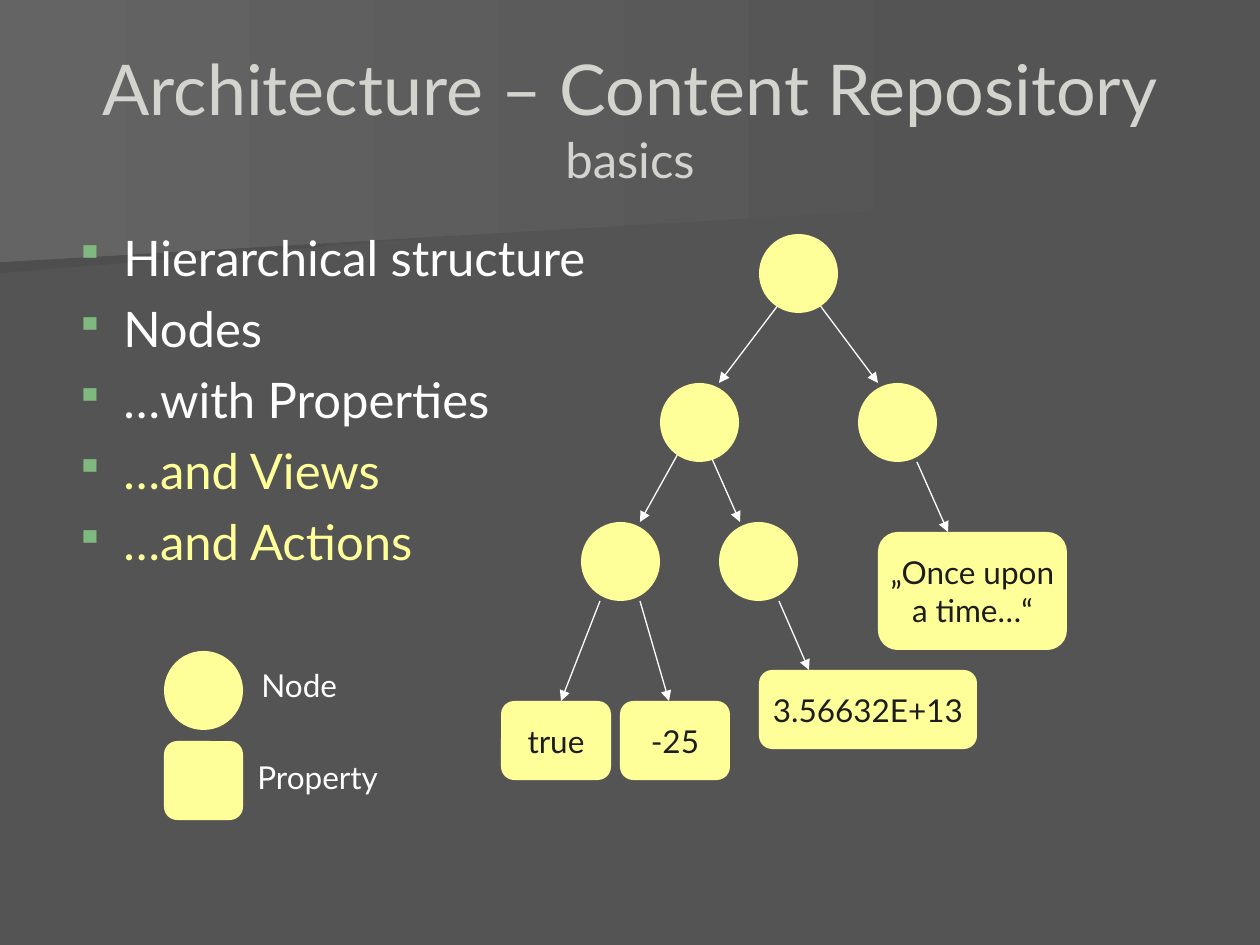
from lxml import etree
from pptx import Presentation
from pptx.dml.color import RGBColor
from pptx.enum.shapes import MSO_CONNECTOR, MSO_SHAPE
from pptx.enum.text import MSO_ANCHOR, PP_ALIGN
from pptx.oxml.ns import qn
from pptx.util import Emu, Pt

CIRCLE, ROUNDED = MSO_SHAPE.OVAL, MSO_SHAPE.ROUNDED_RECTANGLE
STRAIGHT = MSO_CONNECTOR.STRAIGHT
LEFT, CENTER = PP_ALIGN.LEFT, PP_ALIGN.CENTER
TOP, MIDDLE = MSO_ANCHOR.TOP, MSO_ANCHOR.MIDDLE

EMU_PER_PX = 914400 / 126
FONT = "Lato"
NODE_SIZE = 79
COLORS = {
    "background": "545454", "shade": "4E4E4E", "glow": "646464",
    "title": "D4D4CE", "text": "FFFFFF", "accent": "FFFF99",
    "dark": "1D1D1D", "bullet": "7FB97F",
}


def px(length):
    return Emu(round(length * EMU_PER_PX))


def rgb(name):
    return RGBColor.from_string(COLORS[name])


class SlideBuilder:
    def __init__(self, slide):
        self.shapes = slide.shapes
        fill = slide.background.fill
        fill.solid()
        fill.fore_color.rgb = rgb("background")

    def band(self, points, left_color):
        """Outline fading from left_color into the background on the right."""
        builder = self.shapes.build_freeform(*points[0], scale=EMU_PER_PX)
        builder.add_line_segments(points[1:], close=True)
        shape = builder.convert_to_shape()
        shape.shadow.inherit = False
        shape.line.fill.background()
        shape.fill.gradient()
        shape.fill.gradient_angle = 180
        for stop, color in zip(shape.fill.gradient_stops, ("background", left_color)):
            stop.color.rgb = rgb(color)

    def style_run(self, run, size, color):
        run.font.name = FONT
        run.font.size = Pt(size)
        run.font.color.rgb = rgb(color)

    def fill_frame(self, frame, lines, size, color, align):
        frame.text = "\n".join(lines)
        for paragraph in frame.paragraphs:
            paragraph.alignment = align
            for run in paragraph.runs:
                self.style_run(run, size, color)

    def text(self, box, lines, size, color, align=LEFT, anchor=TOP, wrap=True):
        frame = self.shapes.add_textbox(*map(px, box)).text_frame
        frame.word_wrap = wrap
        frame.vertical_anchor = anchor
        self.fill_frame(frame, lines, size, color, align)
        return frame

    def bullets(self, box, items):
        """Bulleted list from (text, color) pairs."""
        frame = self.text(box, [item for item, _ in items], 28, "text")
        for index, (paragraph, (_, color)) in enumerate(zip(frame.paragraphs, items)):
            properties = paragraph._p.get_or_add_pPr()
            properties.set("marL", str(px(48)))
            properties.set("indent", str(-px(48)))
            bullet_color = etree.SubElement(properties, qn("a:buClr"))
            etree.SubElement(bullet_color, qn("a:srgbClr"), val=COLORS["bullet"])
            etree.SubElement(properties, qn("a:buSzPct"), val="80000")
            etree.SubElement(properties, qn("a:buChar"), char="▪")
            if index:
                paragraph.space_before = Pt(7)
            self.style_run(paragraph.runs[0], 28, color)

    def block(self, kind, box, lines=()):
        shape = self.shapes.add_shape(kind, *map(px, box))
        shape.shadow.inherit = False
        shape.fill.solid()
        shape.fill.fore_color.rgb = rgb("accent")
        shape.line.fill.background()
        if lines:
            shape.text_frame.word_wrap = False
            shape.text_frame.vertical_anchor = MIDDLE
            self.fill_frame(shape.text_frame, lines, 18, "dark", CENTER)

    def node(self, left, top):
        self.block(CIRCLE, (left, top, NODE_SIZE, NODE_SIZE))

    def arrow(self, *ends):
        connector = self.shapes.add_connector(STRAIGHT, *map(px, ends))
        connector.line.color.rgb = rgb("text")
        connector.line.width = Pt(0.75)
        properties = connector._element.spPr
        etree.SubElement(properties.find(qn("a:ln")), qn("a:tailEnd"), type="triangle")
        etree.SubElement(properties, qn("a:effectLst"))


def main():
    presentation = Presentation()
    presentation.slide_width, presentation.slide_height = px(1260), px(945)
    slide = SlideBuilder(presentation.slides.add_slide(presentation.slide_layouts[6]))

    slide.band([(980, 193), (0, 273), (0, 127), (982, 127), (980, 161)], "shade")
    slide.band([(998, 204), (0, 262), (0, 0), (998, 0)], "glow")

    title = slide.text((63, 38, 1134, 158), ["Architecture – Content Repository\vbasics"],
                       40, "title", CENTER, MIDDLE)
    title.paragraphs[0].runs[1].font.size = Pt(28)

    slide.bullets((63, 221, 557, 620), [
        ("Hierarchical structure", "text"),
        ("Nodes", "text"),
        ("…with Properties", "text"),
        ("…and Views", "accent"),
        ("…and Actions", "accent"),
    ])

    tree_arrows = [
        (779, 304, 719, 383), (819, 304, 878, 383),
        (679, 452, 640, 522), (709, 452, 740, 522),
        (600, 601, 561, 701), (640, 601, 669, 701),
        (779, 601, 809, 670), (917, 462, 948, 532),
    ]
    for ends in tree_arrows:
        slide.arrow(*ends)

    tree_nodes = [(759, 234), (660, 383), (858, 383), (581, 522), (719, 522)]
    for position in tree_nodes:
        slide.node(*position)

    properties = [
        ((501, 701, 110, 79), ["true"]),
        ((620, 701, 110, 79), ["-25"]),
        ((759, 670, 218, 79), ["3.56632E+13"]),
        ((878, 532, 189, 118), ["„Once upon", "a time…“"]),
    ]
    for box, value in properties:
        slide.block(ROUNDED, box, value)

    slide.node(164, 651)
    slide.block(ROUNDED, (164, 741, NODE_SIZE, NODE_SIZE))
    slide.text((249, 660, 105, 50), ["Node"], 18, "text", wrap=False)
    slide.text((245, 752, 154, 50), ["Property"], 18, "text", wrap=False)

    presentation.save("out.pptx")


if __name__ == "__main__":
    main()
